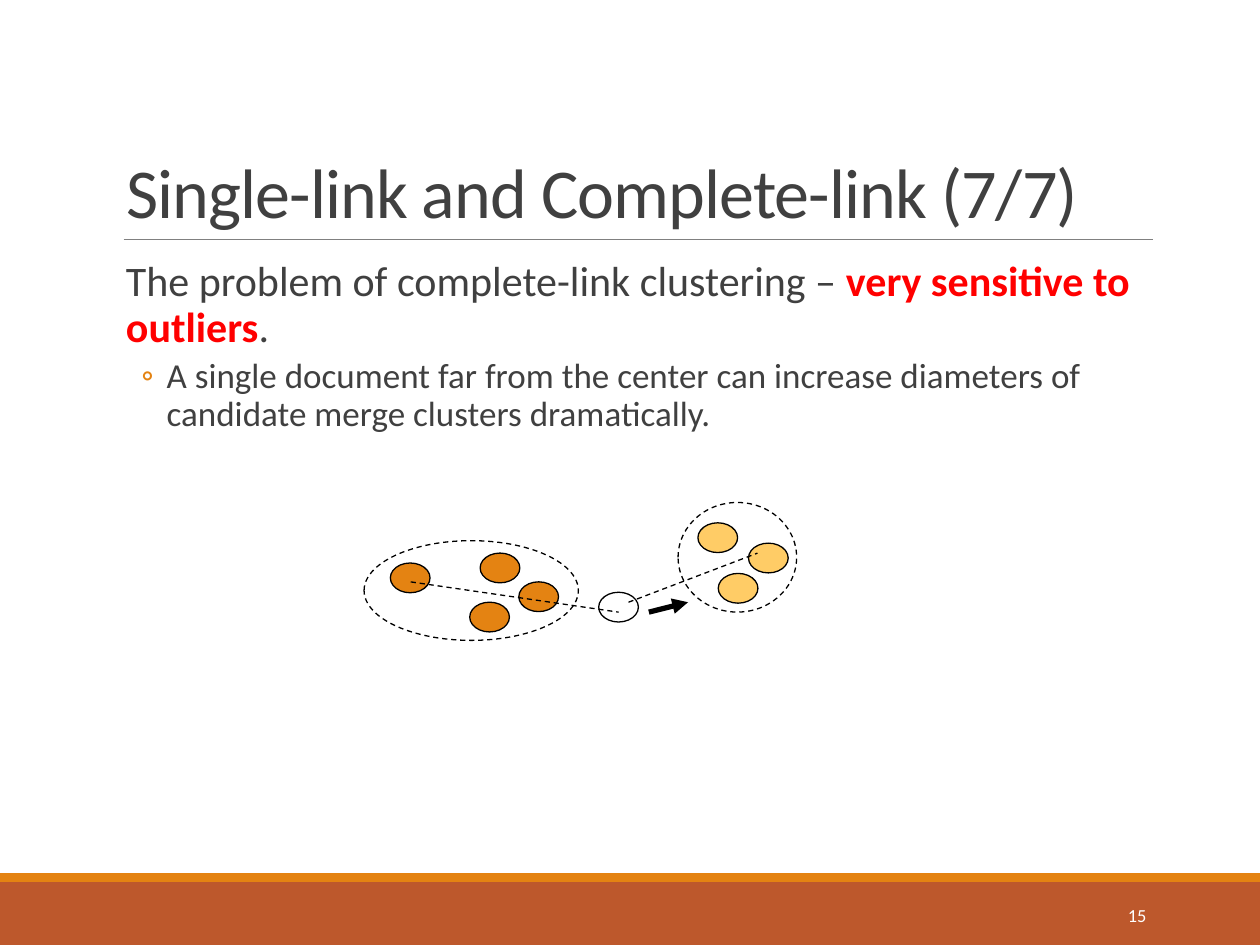
"""Builds the slide on the outlier problem of complete-link clustering."""
from dataclasses import dataclass

from lxml import etree
from pptx import Presentation
from pptx import util as u
from pptx.dml.color import RGBColor
from pptx.enum import dml, shapes, text
from pptx.oxml import ns


@dataclass(frozen=True)
class Theme:
    """Colours, type sizes and line widths of the slide."""
    font: str = "Calibri"
    ink: str = "404040"
    alert: str = "FF0000"
    accent: str = "E48312"
    band: str = "BD582C"
    rule: str = "808080"
    gold: str = "FFCC66"
    white: str = "FFFFFF"
    black: str = "000000"
    title: float = 40
    body: float = 24
    detail: float = 20
    number: float = 10.5
    thin: float = 0.5
    outline: float = 0.75
    heavy: float = 3


T = Theme()
DOT = (0.8, 0.6)
DOTS = {
    T.accent: [(9.68, 11.15), (10.46, 11.73), (7.87, 11.35), (9.47, 12.14)],
    T.white: [(12.07, 11.94)],
    T.gold: [(15.09, 10.95), (14.07, 10.54), (14.48, 11.56)],
}
CLUSTERS = [(7.34, 10.9, 4.32, 2.01), (13.67, 10.13, 2.39, 2.21)]
LINKS = [(8.28, 11.73, 12.47, 12.34), (12.67, 12.14, 15.27, 11.15)]


def cm(values):
    """Turn numbers into lengths in centimetres."""
    return [u.Cm(v) for v in values]


def apply(target, formats):
    """Set each attribute named in formats."""
    for name, value in formats.items():
        setattr(target, name, value)


def style_line(line, color, width, dashed=False):
    """Colour a line and set its width and dash."""
    line.color.rgb = RGBColor.from_string(color)
    line.width = u.Pt(width)
    if dashed:
        line.dash_style = dml.MSO_LINE.DASH


def add_figure(s, kind, box, fill=None, outline=None, dashed=False):
    """Add a preset shape with an optional fill and outline."""
    sp = s.shapes.add_shape(kind, *cm(box))
    sp.shadow.inherit = False
    if fill:
        sp.fill.solid()
        sp.fill.fore_color.rgb = RGBColor.from_string(fill)
    else:
        sp.fill.background()
    if outline:
        style_line(sp.line, outline, T.outline, dashed)
    else:
        sp.line.fill.background()


def add_line(s, ends, color, width, dashed=False, arrow=False):
    """Add a straight line, with an arrowhead at its end if asked."""
    sp = s.shapes.add_connector(shapes.MSO_CONNECTOR.STRAIGHT, *cm(ends))
    style_line(sp.line, color, width, dashed)
    if arrow:
        etree.SubElement(sp.line._get_or_add_ln(), ns.qn("a:tailEnd"), type="triangle")
    etree.SubElement(sp._element.spPr, ns.qn("a:effectLst"))


def add_run(p, words, size, color=T.ink, bold=False):
    """Add a run in the theme font."""
    r = p.add_run()
    r.text = words
    apply(r.font, {"name": T.font, "size": u.Pt(size), "bold": bold})
    r.font.color.rgb = RGBColor.from_string(color)
    return r


def set_frame(sp, box, anchor, **formats):
    """Place a text shape and format its frame."""
    apply(sp, dict(zip(("left", "top", "width", "height"), cm(box))))
    tf = sp.text_frame
    apply(tf, {"word_wrap": True, "auto_size": text.MSO_AUTO_SIZE.NONE,
               "vertical_anchor": anchor, **formats})
    return tf


def add_text(s, box, anchor, **formats):
    """Add a text box and return its frame."""
    return set_frame(s.shapes.add_textbox(*cm(box)), box, anchor, **formats)


def set_bullet(p, char, margin, hanging):
    """Give a paragraph a coloured bullet and a hanging indent."""
    pPr = p._p.get_or_add_pPr()
    pPr.set("marL", str(u.Cm(margin)))
    pPr.set("indent", str(-u.Cm(hanging)))
    color = etree.SubElement(pPr, ns.qn("a:buClr"))
    etree.SubElement(color, ns.qn("a:srgbClr"), val=T.accent)
    etree.SubElement(pPr, ns.qn("a:buFont"), typeface=T.font)
    etree.SubElement(pPr, ns.qn("a:buChar"), char=char)


def add_frame(s):
    """Draw the footer bands, the title rule and the slide number."""
    for box, color in [((0, 17.78, 25.4, 1.27), T.band), ((0, 17.6, 25.4, 0.18), T.accent)]:
        add_figure(s, shapes.MSO_SHAPE.RECTANGLE, box, color)
    add_line(s, (2.49, 4.83, 23.24, 4.83), T.rule, T.thin)
    p = add_text(s, (20.62, 17.93, 2.74, 1.02), text.MSO_ANCHOR.MIDDLE).paragraphs[0]
    p.alignment = text.PP_ALIGN.RIGHT
    add_run(p, "15", T.number, T.white)


def add_title(s):
    """Fill the title placeholder."""
    tf = set_frame(s.shapes.title, (2.29, 0.79, 20.96, 4.04), text.MSO_ANCHOR.BOTTOM)
    p = tf.paragraphs[0]
    apply(p, {"alignment": text.PP_ALIGN.LEFT, "line_spacing": 0.85})
    r = add_run(p, "Single-link and Complete-link (7/7)", T.title)
    r.font._element.set("spc", "-50")


def add_body(s):
    """Write the statement and its explanation."""
    tf = add_text(s, (2.29, 5.13, 20.96, 11.18), text.MSO_ANCHOR.TOP,
                  margin_left=0, margin_right=0)
    p = tf.paragraphs[0]
    apply(p, {"line_spacing": 0.9, "space_before": u.Pt(12), "space_after": u.Pt(2)})
    set_bullet(p, " ", 0.25, 0.25)
    add_run(p, "The problem of complete-link clustering – ", T.body)
    add_run(p, "very sensitive to outliers", T.body, T.alert, True)
    add_run(p, ".", T.body)
    p = tf.add_paragraph()
    apply(p, {"level": 1, "line_spacing": 0.9, "space_before": u.Pt(2), "space_after": u.Pt(4)})
    set_bullet(p, "◦", 1.07, 0.51)
    add_run(p, "A single document far from the center can increase diameters of "
               "candidate merge clusters dramatically.", T.detail)


def add_diagram(s):
    """Draw the documents, their clusters and the links to the outlier."""
    oval = shapes.MSO_SHAPE.OVAL
    for color, spots in DOTS.items():
        for spot in spots:
            add_figure(s, oval, spot + DOT, color, T.black)
    for box in CLUSTERS:
        add_figure(s, oval, box, outline=T.black, dashed=True)
    for ends in LINKS:
        add_line(s, ends, T.black, T.outline, dashed=True)
    add_line(s, (13.08, 12.34, 13.87, 12.14), T.black, T.heavy, arrow=True)


def main():
    """Build and save the presentation."""
    prs = Presentation()
    apply(prs, {"slide_width": u.Cm(25.4), "slide_height": u.Cm(19.05)})
    s = prs.slides.add_slide(prs.slide_layouts[5])
    for build in (add_frame, add_title, add_body, add_diagram):
        build(s)
    prs.save("out.pptx")


if __name__ == "__main__":
    main()
